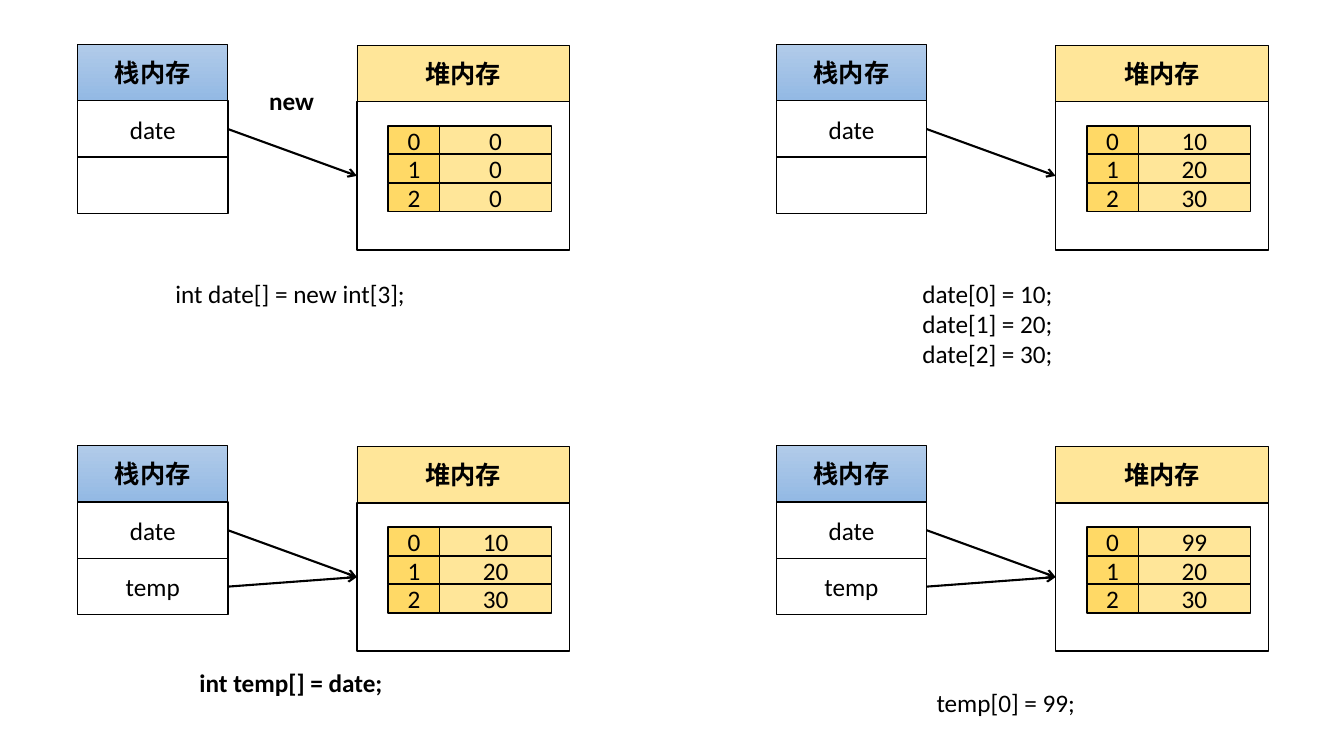
"""Build a slide that shows array references between stack and heap memory."""
import pptx
import pptx.dml.color
import pptx.enum.shapes
import pptx.enum.text
import pptx.oxml
import pptx.oxml.ns
import pptx.util

Inches = pptx.util.Inches
Pt = pptx.util.Pt
PP_ALIGN = pptx.enum.text.PP_ALIGN
MSO_ANCHOR = pptx.enum.text.MSO_ANCHOR


def rgb(value):
    return pptx.dml.color.RGBColor.from_string(value)


def write(tf, text, size=18, bold=False, color="000000", font="Calibri", align=PP_ALIGN.LEFT):
    for i, line in enumerate(text.split("\n")):
        p = tf.paragraphs[0] if i == 0 else tf.add_paragraph()
        p.alignment = align
        r = p.add_run()
        r.text = line
        r.font.size = Pt(size)
        r.font.bold = bold
        r.font.name = font
        r.font.color.rgb = rgb(color)


class MemorySlide:
    LINE = "000000"
    WHITE = "FFFFFF"
    STACK = ("B1CBE9", "93B9E4")
    HEAP = "FFE699"
    INDEX = "FFD966"

    def __init__(self, prs):
        self.slide = prs.slides.add_slide(prs.slide_layouts[6])

    def box(self, x, y, w, h, fill, text="", bold=False, line=1):
        sp = self.slide.shapes.add_shape(
            pptx.enum.shapes.MSO_SHAPE.RECTANGLE, Inches(x), Inches(y), Inches(w), Inches(h))
        sp.shadow.inherit = False
        if isinstance(fill, tuple):
            sp.fill.gradient()
            sp.fill.gradient_angle = 270
            for stop, color in zip(sp.fill.gradient_stops, fill):
                stop.color.rgb = rgb(color)
        else:
            sp.fill.solid()
            sp.fill.fore_color.rgb = rgb(fill)
        sp.line.color.rgb = rgb(self.LINE)
        sp.line.width = Pt(line)
        if text:
            sp.text_frame.vertical_anchor = MSO_ANCHOR.MIDDLE
            write(sp.text_frame, text, bold=bold, align=PP_ALIGN.CENTER)
        return sp

    def label(self, x, y, w, h, text, bold=False, wrap=False):
        tf = self.slide.shapes.add_textbox(Inches(x), Inches(y), Inches(w), Inches(h)).text_frame
        tf.word_wrap = wrap
        tf.auto_size = pptx.enum.text.MSO_AUTO_SIZE.SHAPE_TO_FIT_TEXT
        write(tf, text, bold=bold)

    def arrow(self, source, target):
        cxn = self.slide.shapes.add_connector(pptx.enum.shapes.MSO_CONNECTOR.STRAIGHT, 0, 0, 0, 0)
        cxn.begin_connect(source, 3)
        cxn.end_connect(target, 1)
        cxn.line.color.rgb = rgb(self.LINE)
        cxn.line.width = Pt(1.5)
        ns = pptx.oxml.ns.nsdecls("a")
        cxn.line._get_or_add_ln().append(pptx.oxml.parse_xml(f'<a:tailEnd {ns} type="arrow"/>'))
        cxn._element.spPr.append(pptx.oxml.parse_xml(f"<a:effectLst {ns}/>"))

    def array(self, x, y, values):
        for i, value in enumerate(values):
            top = y + i * 0.57 / 2
            self.box(x + 0.51, top, 1.11, 0.28, self.HEAP, str(value))
            self.box(x, top, 0.51, 0.28, self.INDEX, str(i))

    def memory(self, x, y, names, values):
        row = 0.56
        heap_x, heap_y = x + 2.77, y + 0.01
        self.box(x, y, 1.49, row, self.STACK, "栈内存", bold=True, line=0.5)
        slots = [self.box(x, y + row * (i + 1), 1.49, row, self.WHITE, name)
                 for i, name in enumerate(names)]
        self.box(heap_x, heap_y, 2.11, row, self.HEAP, "堆内存", bold=True, line=0.5)
        heap = self.box(heap_x, heap_y + row, 2.11, 1.47, self.WHITE)
        self.array(heap_x + 0.31, heap_y + 0.8, values)
        for name, slot in zip(names, slots):
            if name:
                self.arrow(slot, heap)


def main():
    prs = pptx.Presentation()
    prs.slide_width, prs.slide_height = Inches(13.33), Inches(7.5)
    s = MemorySlide(prs)
    left, right, top, bottom = 0.77, 7.7, 0.44, 4.42
    s.memory(left, top, ("date", ""), (0, 0, 0))
    s.memory(right, top, ("date", ""), (10, 20, 30))
    s.memory(left, bottom, ("date", "temp"), (10, 20, 30))
    s.memory(right, bottom, ("date", "temp"), (99, 20, 30))
    s.label(2.57, 0.8, 0.65, 0.4, "new", bold=True)
    s.label(1.64, 2.71, 2.51, 0.4, "int date[] = new int[3];")
    s.label(9.05, 2.71, 1.58, 1.01, "date[0] = 10;\ndate[1] = 20;\ndate[2] = 30;", wrap=True)
    s.label(1.88, 6.57, 2.04, 0.4, "int temp[] = date;", bold=True)
    s.label(9.19, 6.77, 1.59, 0.4, "temp[0] = 99;")
    prs.save("out.pptx")


if __name__ == "__main__":
    main()
